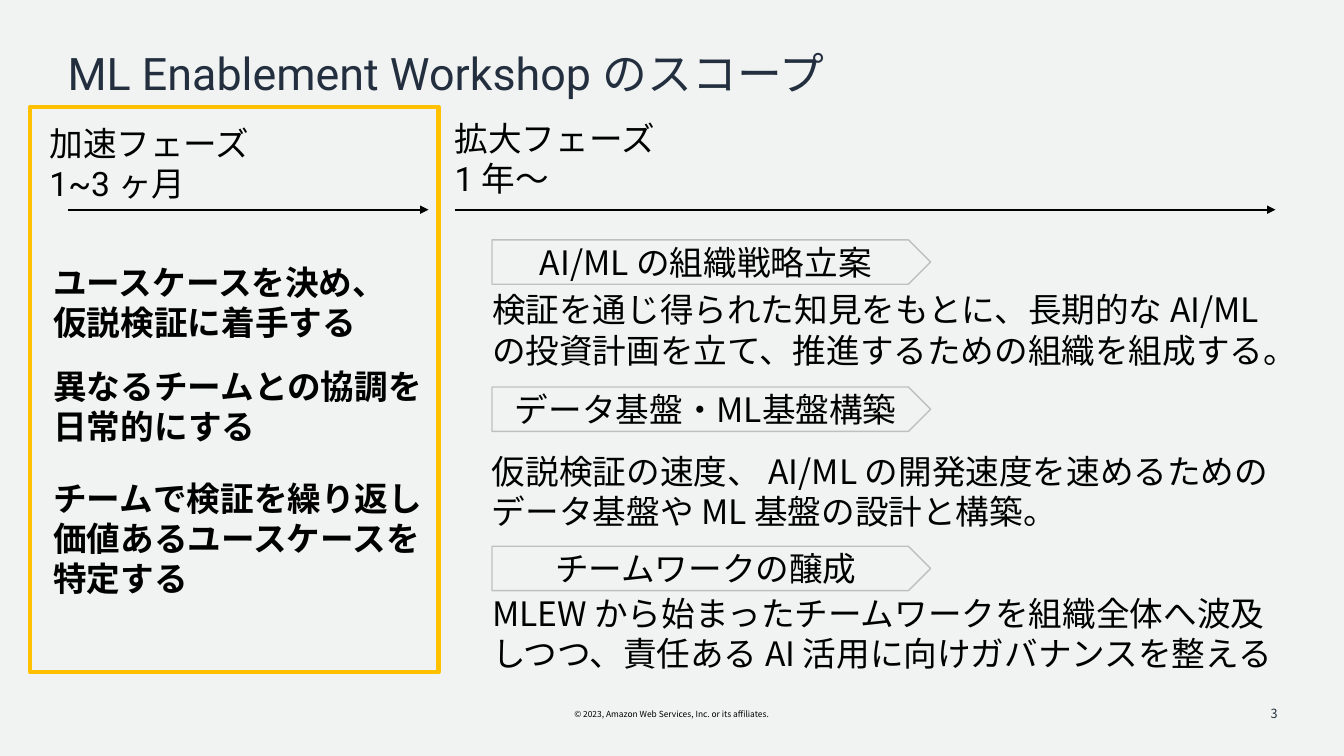
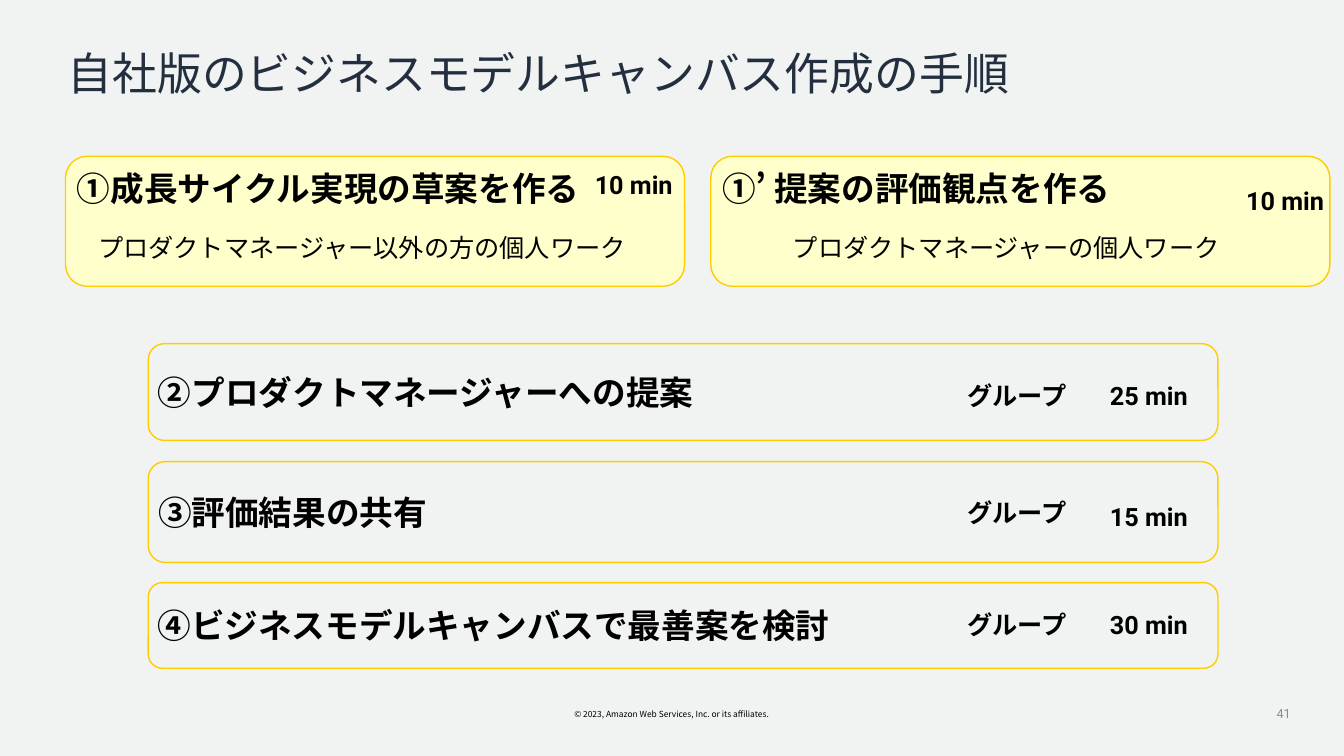
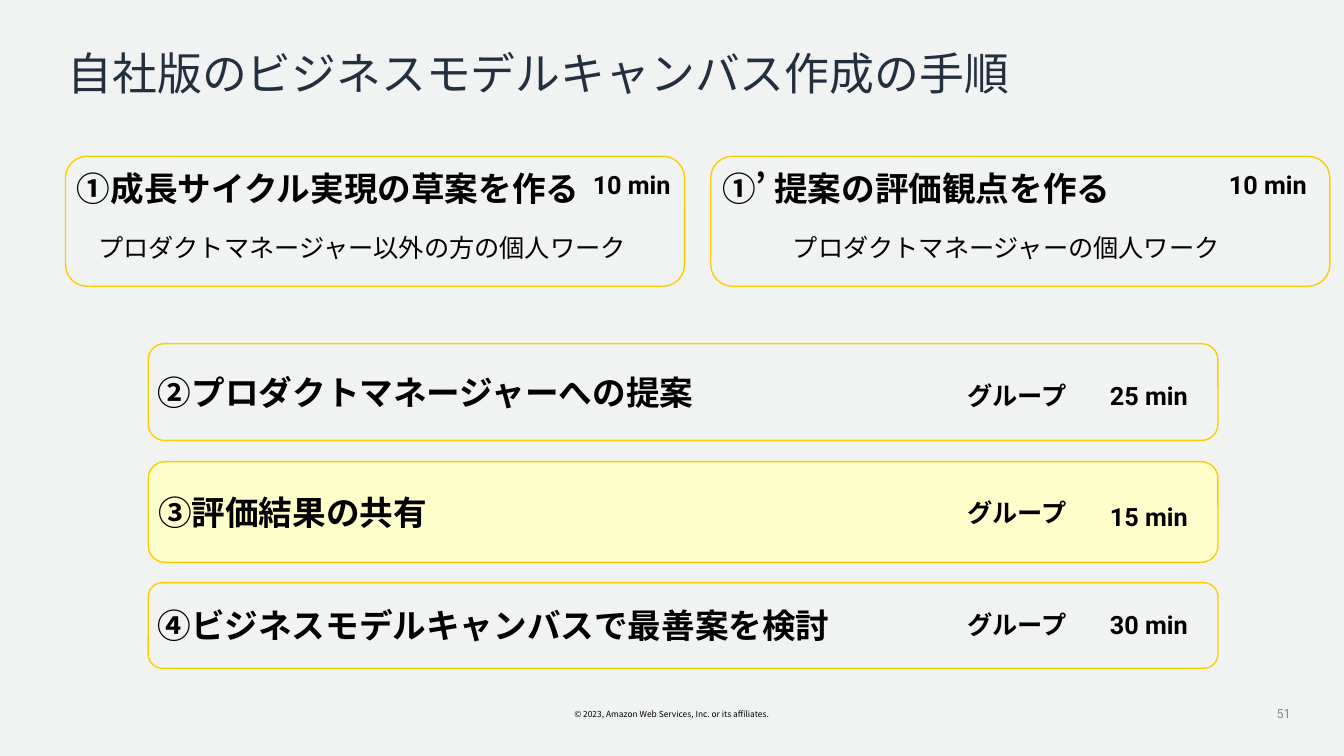
from lxml.etree import SubElement
from pptx import Presentation
from pptx.dml.color import RGBColor
from pptx.enum.lang import MSO_LANGUAGE_ID
from pptx.enum.shapes import MSO_CONNECTOR, MSO_SHAPE
from pptx.enum.text import MSO_ANCHOR, PP_ALIGN
from pptx.oxml.ns import qn
from pptx.util import Emu, Pt

PX = 9144
NOTO = "Noto Sans CJK JP"
ROBOTO = "Roboto"
COLORS = {
    "background": "F1F3F3",
    "title": "232F3E",
    "text": "000000",
    "muted": "8C8C8C",
    "scope": "FFC000",
    "banner": "BFBFBF",
    "step": "FFCC00",
    "current": "FFFFCC",
}
COPYRIGHT = "© 2023, Amazon Web Services, Inc. or its affiliates."
CANVAS_TITLE = "自社版のビジネスモデルキャンバス作成の手順"

PHASES = [
    (49, 117, 381, "加速フェーズ", "1~3 ", "ヶ月"),
    (451, 112, 495, "拡大フェーズ", "1 ", "年～"),
]
GOALS = [
    (255, 91, "ユースケースを決め、\n仮説検証に着手する"),
    (358, 91, "異なるチームとの協調を日常的にする"),
    (469, 131, "チームで検証を繰り返し価値あるユースケースを特定する"),
]
EXPANSIONS = [
    (238, "AI/ML の組織戦略立案", 282, 788,
     "検証を通じ得られた知見をもとに、長期的な AI/ML の投資計画を立て、推進するための組織を組成する。"),
    (384, "データ基盤・ML基盤構築", 442, 777,
     "仮説検証の速度、 AI/ML の開発速度を速めるためのデータ基盤や ML 基盤の設計と構築。"),
    (542, "チームワークの醸成", 583, 792,
     "MLEW から始まったチームワークを組織全体へ波及しつつ、責任ある AI 活用に向けガバナンスを整える"),
]
SOLO_STEPS = [
    (65, 67, "①成長サイクル実現の草案を作る", "プロダクトマネージャー以外の方の個人ワーク"),
    (705, 706, "①’ 提案の評価観点を作る", "プロダクトマネージャーの個人ワーク"),
]
GROUP_STEPS = [
    (341, 96, "②プロダクトマネージャーへの提案", 372, 372, "25 min"),
    (458, 100, "③評価結果の共有", 488, 492, "15 min"),
    (578, 85, "④ビジネスモデルキャンバスで最善案を検討", 600, 600, "30 min"),
]


def px(*lengths):
    return [Emu(length * PX) for length in lengths]


def rgb(name):
    return RGBColor.from_string(COLORS[name])


def add_run(paragraph, text, font, size, bold, color):
    run = paragraph.add_run()
    run.text = text
    run.font.size = Pt(size)
    run.font.bold = bold
    run.font.color.rgb = rgb(color)
    run.font.name = font
    run.font.language_id = MSO_LANGUAGE_ID.JAPANESE
    SubElement(run.font._element, qn("a:ea"), typeface=NOTO)


def write(shape, paragraphs, size, bold=False, color="text", align=PP_ALIGN.LEFT,
          anchor=MSO_ANCHOR.TOP, inset=0, spacing=None):
    frame = shape.text_frame
    frame.word_wrap = True
    frame.vertical_anchor = anchor
    frame.margin_left, frame.margin_right, frame.margin_top, frame.margin_bottom = px(inset, inset, 5, 5)
    for index, runs in enumerate(paragraphs):
        paragraph = frame.add_paragraph() if index else frame.paragraphs[0]
        paragraph.alignment = align
        paragraph.line_spacing = spacing
        for text, font in runs:
            for number, line in enumerate(text.split("\n")):
                if number:
                    paragraph.add_line_break()
                add_run(paragraph, line, font, size, bold, color)


def add_label(slide, box, text, size, font=NOTO, **style):
    write(slide.shapes.add_textbox(*px(*box)), [[(text, font)]], size, **style)


def add_outline(slide, preset, box, line, width, fill=None):
    shape = slide.shapes.add_shape(preset, *px(*box))
    shape.shadow.inherit = False
    if fill:
        shape.fill.solid()
        shape.fill.fore_color.rgb = rgb(fill)
    else:
        shape.fill.background()
    shape.line.color.rgb = rgb(line)
    shape.line.width = Pt(width)
    return shape


def add_arrow(slide, start, end, top):
    arrow = slide.shapes.add_connector(MSO_CONNECTOR.STRAIGHT, *px(start, top, end, top))
    arrow.line.color.rgb = rgb("text")
    arrow.line.width = Pt(1.5)
    SubElement(arrow.line._get_or_add_ln(), qn("a:tailEnd"), type="triangle")
    SubElement(arrow._element.spPr, qn("a:effectLst"))


def add_page(deck, title, title_font, number, number_box, number_font, number_color):
    slide = deck.slides.add_slide(deck.slide_layouts[6])
    add_label(slide, (549, 699, 234, 20), COPYRIGHT, 6, align=PP_ALIGN.CENTER, inset=10)
    add_label(slide, (67, 46, 1198, 60), title, 32, title_font, color="title", spacing=0.9)
    add_label(slide, number_box, number, 9, number_font, color=number_color,
              align=PP_ALIGN.RIGHT, anchor=MSO_ANCHOR.MIDDLE, inset=10)
    return slide


def add_step(slide, box, title, anchor, current):
    step = add_outline(slide, MSO_SHAPE.ROUNDED_RECTANGLE, box, "step", 1,
                       "current" if current else None)
    write(step, [[(title, NOTO)]], 24, bold=True, anchor=anchor, inset=5)


def add_note(slide, left, top, text, font=NOTO):
    add_label(slide, (left, top, 139, 40), text, 18, font, bold=True, align=PP_ALIGN.CENTER)


def build_scope(deck):
    slide = add_page(deck, "ML Enablement Workshop のスコープ", ROBOTO,
                     "3", (977, 688, 300, 40), NOTO, "title")
    add_arrow(slide, 67, 425, 208)
    add_arrow(slide, 451, 1265, 208)
    for left, top, width, phase, count, unit in PHASES:
        write(slide.shapes.add_textbox(*px(left, top, width, 91)),
              [[(phase, NOTO)], [(count, ROBOTO), (unit, NOTO)]], 24)
    for top, height, goal in GOALS:
        add_label(slide, (53, top, 373, height), goal, 24, bold=True)
    for banner_top, theme, detail_top, width, detail in EXPANSIONS:
        add_label(slide, (488, detail_top, width, 91), detail, 24)
        banner = add_outline(slide, MSO_SHAPE.PENTAGON, (488, banner_top, 435, 44), "banner", 1)
        write(banner, [[(theme, NOTO)]], 24, align=PP_ALIGN.CENTER,
              anchor=MSO_ANCHOR.MIDDLE, inset=5)
    add_outline(slide, MSO_SHAPE.RECTANGLE, (30, 106, 405, 561), "scope", 3)


def build_canvas_steps(deck, number, current, solo_times):
    slide = add_page(deck, CANVAS_TITLE, NOTO, number, (1033, 688, 257, 40), ROBOTO, "muted")
    for (left, worker_left, title, worker), (time_left, time_top) in zip(SOLO_STEPS, solo_times):
        add_step(slide, (left, 155, 614, 129), title, MSO_ANCHOR.TOP, title[0] in current)
        add_label(slide, (worker_left, 226, 584, 40), worker, 18, align=PP_ALIGN.CENTER)
        add_note(slide, time_left, time_top, "10 min", ROBOTO)
    for top, height, title, group_top, time_top, minutes in GROUP_STEPS:
        add_step(slide, (147, top, 1061, height), title, MSO_ANCHOR.MIDDLE, title[0] in current)
        add_note(slide, 939, group_top, "グループ")
        add_note(slide, 1070, time_top, minutes, ROBOTO)


def main():
    deck = Presentation()
    deck.slide_width, deck.slide_height = px(1333, 750)
    background = deck.slide_master.background.fill
    background.solid()
    background.fore_color.rgb = rgb("background")
    build_scope(deck)
    build_canvas_steps(deck, "41", "①", [(559, 163), (1205, 179)])
    build_canvas_steps(deck, "51", "③", [(557, 163), (1188, 163)])
    deck.save("out.pptx")


if __name__ == "__main__":
    main()
